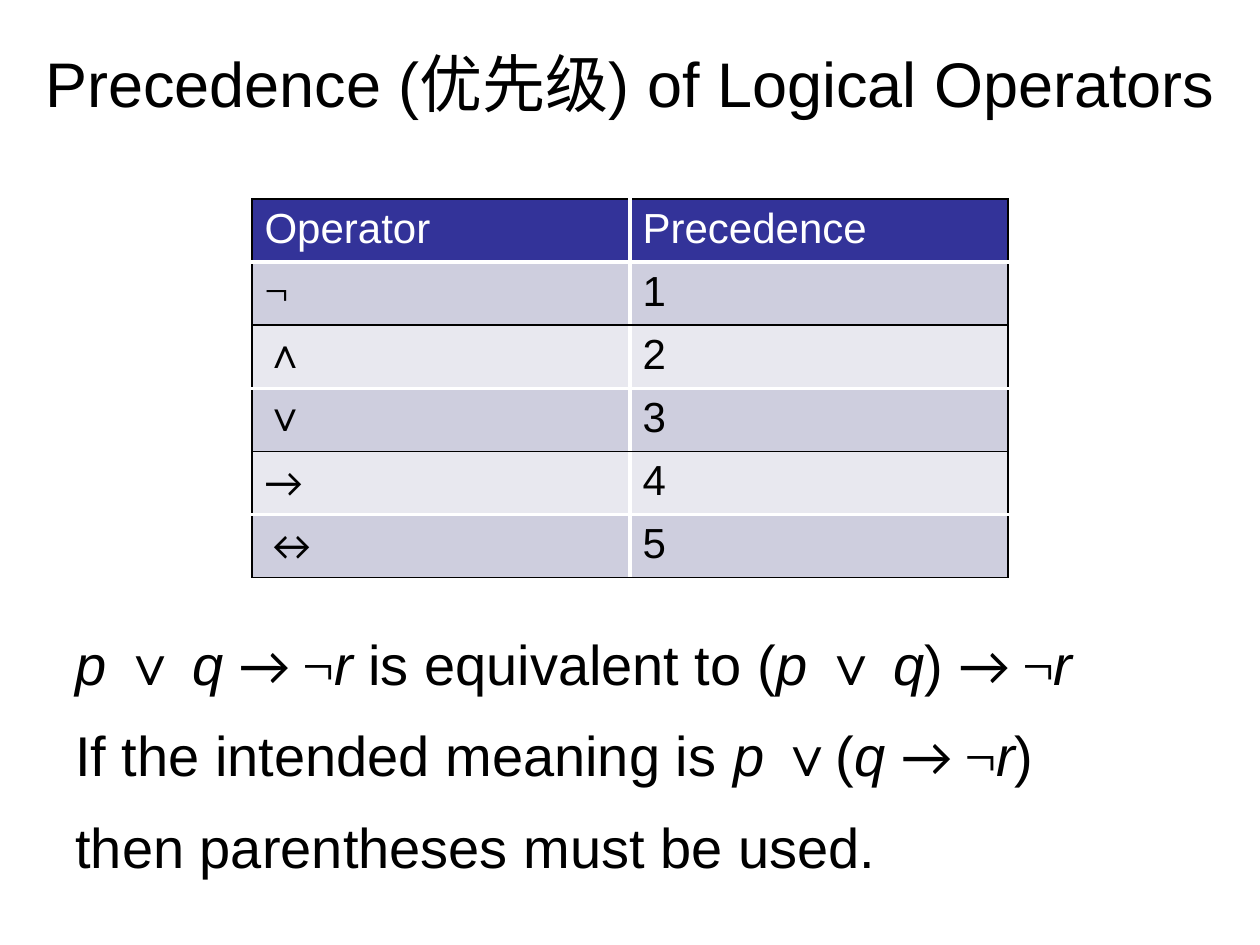
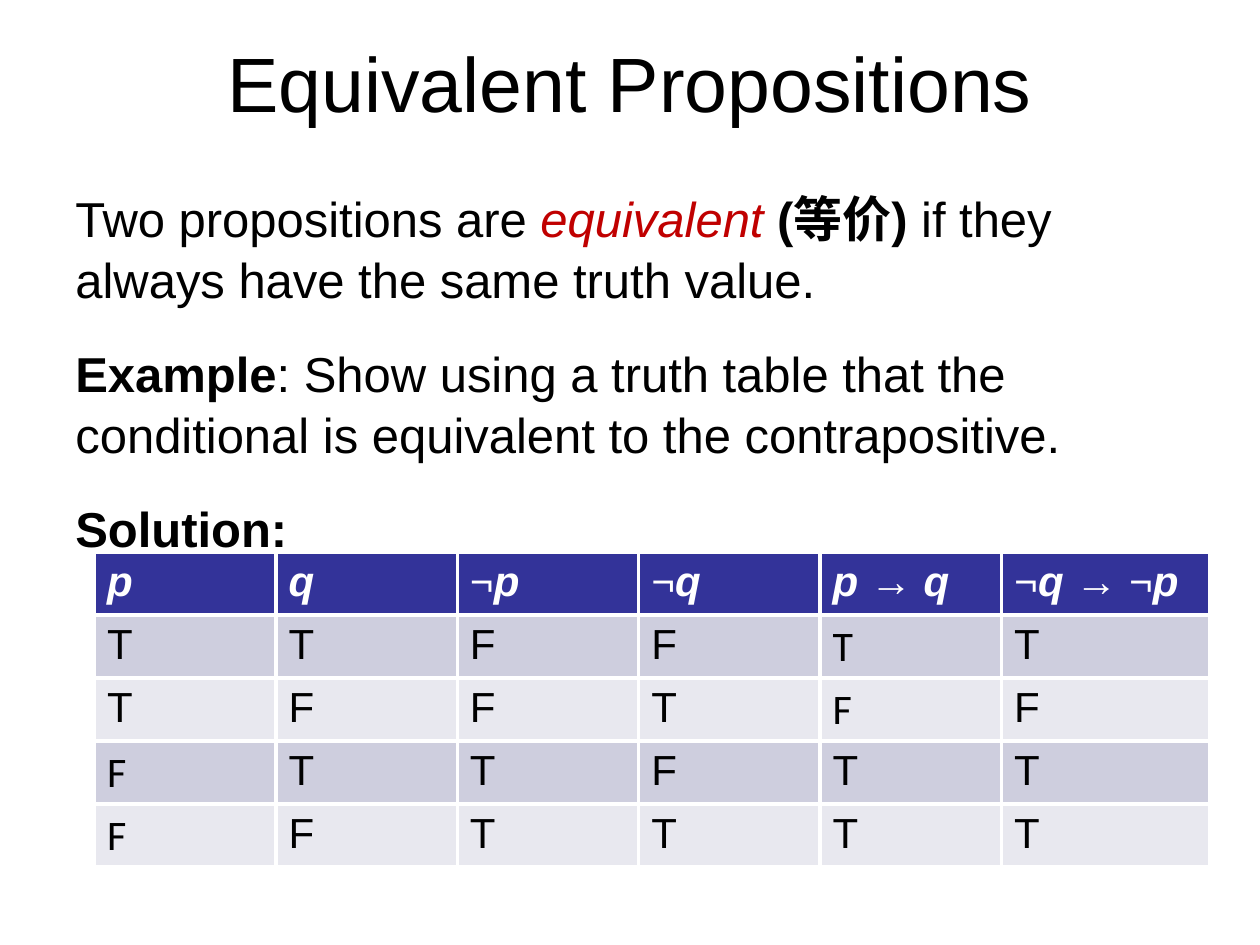
from lxml import etree
from pptx import Presentation
from pptx.dml.color import RGBColor
from pptx.enum.text import MSO_ANCHOR, PP_ALIGN
from pptx.oxml.ns import qn
from pptx.util import Inches, Pt

MIDDLE, CENTER, LEFT = MSO_ANCHOR.MIDDLE, PP_ALIGN.CENTER, PP_ALIGN.LEFT
COLORS = {"text": "000000", "white": "FFFFFF", "term": "C00000",
          "header": "333399", "odd": "CECEDE", "even": "E8E8EF"}
SANS, SERIF, PLAIN = "Arial", "Times New Roman", "Calibri"
THIN, THICK = ("text", 1), ("white", 2.25)

# Run styles
ITALIC = {"italic": True}
BOLD = {"bold": True}
TERM = {"italic": True, "color": "term"}
SYMBOL = {"name": SERIF}
ARROW = {"name": PLAIN}
NOT = ("¬", SYMBOL)


def rgb(key):
    return RGBColor.from_string(COLORS[key])


def set_font(font, color=None, **values):
    if color:
        font.color.rgb = rgb(color)
    for name, value in values.items():
        setattr(font, name, value)


def white_grid(row, col, rows, cols):
    """Return the left, right, top and bottom lines of a cell."""
    return [THICK] * 4


def framed_grid(row, col, rows, cols):
    """Black frame, white column lines, row lines in turn black and white."""
    def row_line(n):
        return THICK if n % 2 else THIN
    return [THIN if col == 0 else THICK, THIN if col == cols - 1 else THICK,
            row_line(row), row_line(row + 1)]


class Deck:
    def __init__(self):
        self.prs = Presentation()
        self.prs.slide_width, self.prs.slide_height = Inches(10), Inches(7.5)
        self.s = None

    def slide(self, title, size):
        self.s = self.prs.slides.add_slide(self.prs.slide_layouts[6])
        tf = self.text_box(0, 0, 10, 1.3)
        tf.vertical_anchor = MIDDLE
        self.paragraph(tf.paragraphs[0], [title], size, align=CENTER)

    def text_box(self, x, y, w, h):
        sp = self.s.shapes.add_textbox(Inches(x), Inches(y), Inches(w), Inches(h))
        sp.text_frame.word_wrap = True
        return sp.text_frame

    def paragraph(self, p, runs, size, align=LEFT, **font):
        """Fill p with runs, each a string or a (string, style) pair."""
        p.alignment = align
        set_font(p.font, **{"size": Pt(size), "name": SANS, "color": "text", **font})
        for run in runs:
            text, style = (run, {}) if isinstance(run, str) else run
            r = p.add_run()
            r.text = text
            set_font(r.font, **style)

    def body(self, x, y, w, h, paragraphs, size, before):
        tf = self.text_box(x, y, w, h)
        for i, runs in enumerate(paragraphs):
            p = tf.add_paragraph() if i else tf.paragraphs[0]
            self.paragraph(p, runs, size)
            p.space_before, p.space_after = Pt(before), Pt(6)
            p.line_spacing = 1.05

    def table(self, x, y, widths, rows, grid, row_height=0.5, **header):
        shape = (len(rows), len(widths))
        tbl = self.s.shapes.add_table(*shape, Inches(x), Inches(y), Inches(sum(widths)),
                                      Inches(row_height * len(rows))).table
        tbl.first_row = tbl.horz_banding = False
        for column, width in zip(tbl.columns, widths):
            column.width = Inches(width)
        for i, row in enumerate(rows):
            fill = "header" if i == 0 else "odd" if i % 2 else "even"
            font = {"color": "white", **header} if i == 0 else {}
            for j, runs in enumerate(row):
                cell = tbl.cell(i, j)
                self.borders(cell, grid(i, j, *shape))
                cell.fill.solid()
                cell.fill.fore_color.rgb = rgb(fill)
                self.paragraph(cell.text_frame.paragraphs[0], runs, 24, **font)

    def borders(self, cell, lines):
        tc_pr = cell._tc.get_or_add_tcPr()
        for side, (color, width) in zip("LRTB", lines):
            ln = etree.SubElement(tc_pr, qn(f"a:ln{side}"), w=str(Pt(width)))
            fill = etree.SubElement(ln, qn("a:solidFill"))
            etree.SubElement(fill, qn("a:srgbClr"), val=COLORS[color])


def precedence_slide(deck):
    deck.slide("Precedence (优先级) of Logical Operators", 36)
    operators = [NOT, ("∧", SYMBOL), ("∨", SYMBOL), ("→", ARROW), ("↔", ARROW)]
    rows = [[["Operator"], ["Precedence"]]]
    rows += [[[op], [str(n)]] for n, op in enumerate(operators, 1)]
    deck.table(2, 1.58, [3, 3], rows, framed_grid)

    p, q, r = ("p ", ITALIC), ("q", ITALIC), ("r", ITALIC)
    q_space, or_space, arrow = ("q ", ITALIC), ("∨ ", SYMBOL), ("→ ", ARROW)
    deck.body(0.5, 4.92, 8.2, 2, [
        [p, or_space, q_space, arrow, NOT, ("r ", ITALIC), "is equivalent to (",
         p, or_space, q, ") ", arrow, NOT, r],
        ["If the intended meaning is ", p, ("∨", SYMBOL), "(", q_space, arrow,
         NOT, r, ")"],
        ["then parentheses must be used."],
    ], size=32, before=6)


def equivalence_slide(deck):
    deck.slide("Equivalent Propositions", 44)
    deck.body(0.5, 1.42, 9.1, 3.25, [
        ["Two propositions are ", ("equivalent", TERM), (" (等价) ", BOLD),
         "if they always have the same truth value."],
        [("Example", BOLD), ": Show using a truth table that the conditional "
                            "is equivalent to the contrapositive."],
        [("Solution:", BOLD)],
    ], size=28, before=12)

    p, q = ("p", ITALIC), ("q", ITALIC)
    rows = [[[p], [q], [NOT, p], [NOT, q], [p, " → ", q], [NOT, q, " → ", NOT, p]]]
    plain_cells = {(0, 4), (1, 4), (2, 0), (3, 0)}
    for i, values in enumerate(["TTFFTT", "TFFTFF", "FTTFTT", "FFTTTT"]):
        rows.append([[(v, ARROW if (i, j) in plain_cells else {})]
                     for j, v in enumerate(values)])
    deck.table(0.75, 4.38, [1.44] * 5 + [1.65], rows, white_grid, bold=True)


def main():
    deck = Deck()
    precedence_slide(deck)
    equivalence_slide(deck)
    deck.prs.save("out.pptx")


if __name__ == "__main__":
    main()
